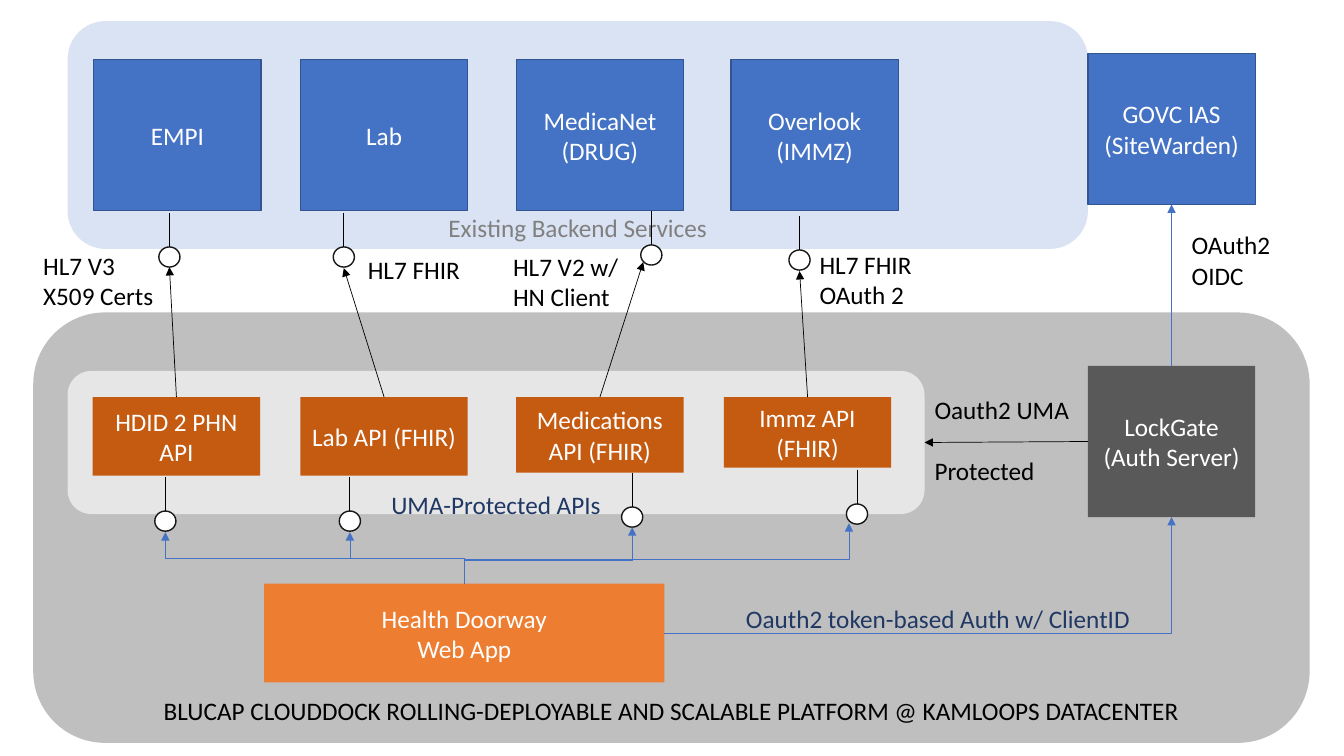
from lxml import etree
from pptx import Presentation
from pptx.dml.color import RGBColor
from pptx.enum.shapes import MSO_CONNECTOR, MSO_SHAPE
from pptx.enum.text import MSO_ANCHOR, PP_ALIGN
from pptx.oxml.ns import qn
from pptx.util import Inches, Pt

RECT, ROUND, OVAL = MSO_SHAPE.RECTANGLE, MSO_SHAPE.ROUNDED_RECTANGLE, MSO_SHAPE.OVAL
STRAIGHT, ELBOW = MSO_CONNECTOR.STRAIGHT, MSO_CONNECTOR.ELBOW
TOP, MIDDLE, BOTTOM = MSO_ANCHOR.TOP, MSO_ANCHOR.MIDDLE, MSO_ANCHOR.BOTTOM
LEFT, CENTER = PP_ALIGN.LEFT, PP_ALIGN.CENTER

C = dict(platform="BFBFBF", backend="DAE3F3", apis="E7E6E6", service="4472C4",
         service_line="325491", auth="595959", api="C55A11", app="ED7D31",
         port_line="181717", navy="203864", grey="808080", white="FFFFFF", black="000000")

# Content: zones are text, box, fill, text colour, bottom margin
ZONES = [
    ("BLUCAP CLOUDDOCK ROLLING-DEPLOYABLE AND SCALABLE PLATFORM @ KAMLOOPS DATACENTER",
     (0.33, 3.1, 12.66, 4.27), "platform", "black", -0.04),
    ("Existing Backend Services", (0.67, 0.21, 10.12, 2.26), "backend", "grey", -0.05),
    ("UMA-Protected APIs", (0.67, 3.68, 8.5, 1.42), "apis", "navy", -0.12),
]
BOX_W, BOX_H = 1.66, 1.5
SERVICE_TOP, API_TOP = 0.59, 3.94
SERVICES = [("EMPI", 0.93), ("Lab", 2.98), ("MedicaNet (DRUG)", 5.12), ("Overlook (IMMZ)", 7.25)]
APIS = [("HDID 2 PHN API", 0.92, 0.78), ("Lab API (FHIR)", 2.98, 0.78),
        ("Medications API (FHIR)", 5.12, 0.75), ("Immz API (FHIR)", 7.18, 0.7)]
AUTH_X, AUTH_TOP, IDP_TOP = 10.79, 3.63, 0.53
APP = (2.62, 5.79, 3.97, 0.98)

# Ports are centre x and stem top
STEM, PORT_W, PORT_H = 0.34, 0.21, 0.2
SERVICE_PORTS = [(1.68, 2.11), (3.41, 2.11), (6.46, 2.09), (7.93, 2.14)]
API_PORTS = [(1.64, 4.73), (3.47, 4.73), (6.27, 4.69), (8.5, 4.66)]
API_ARROW_ENDS = [(1.68, 2.65), (3.41, 2.66), (6.38, 2.6), (7.93, 2.69)]
# App arrows are end point and bend height
APP_ARROWS = [((8.42, 5.19), 5.55), ((6.27, 5.23), 5.56), ((3.47, 5.28), 5.54), ((1.64, 5.28), 5.54)]

# Labels are text, box, colour, gap between paragraphs in points
LABELS = [
    ("OAuth2\nOIDC", (11.72, 2.23, 1.05, 0.71), "black", 0),
    ("Oauth2 token-based Auth w/ ClientID", (7.3, 5.94, 4.05, 0.4), "navy", 0),
    ("Oauth2 UMA\nProtected", (9.17, 3.86, 1.55, 1.01), "black", 22),
    ("HL7 V3\nX509 Certs", (0.33, 2.43, 1.31, 0.71), "black", 0),
    ("HL7 V2 w/\nHN Client", (4.99, 2.44, 1.26, 0.71), "black", 0),
    ("HL7 FHIR", (3.55, 2.47, 1.13, 0.4), "black", 0),
    ("HL7 FHIR\nOAuth 2", (8.03, 2.42, 1.13, 0.71), "black", 0),
]

prs = Presentation()
prs.slide_width, prs.slide_height = Inches(13.33), Inches(7.5)
s = prs.slides.add_slide(prs.slide_layouts[6])


def rgb(name):
    return RGBColor.from_string(C[name])


def write(sp, text, color="white", align=CENTER, anchor=MIDDLE, gap=0, wrap=True, bottom=0.05):
    tf = sp.text_frame
    tf.word_wrap, tf.vertical_anchor, tf.margin_bottom = wrap, anchor, Inches(bottom)
    for i, line in enumerate(text.split("\n")):
        p = tf.add_paragraph() if i else tf.paragraphs[0]
        p.alignment = align
        if i and gap:
            p.space_before = Pt(gap)
        r = p.add_run()
        r.text = line
        r.font.name, r.font.size = "Calibri", Pt(18)
        r.font.color.rgb = rgb(color)


def shape(kind, box, fill, line=None):
    sp = s.shapes.add_shape(kind, *map(Inches, box))
    sp.shadow.inherit = False
    sp.fill.solid()
    sp.fill.fore_color.rgb = rgb(fill)
    if line:
        sp.line.color.rgb = rgb(line)
        sp.line.width = Pt(1)
    else:
        sp.line.fill.background()
    return sp


def connect(start, end, color="black", kind=STRAIGHT, arrow=True):
    c = s.shapes.add_connector(kind, *map(Inches, (*start, *end)))
    c.line.color.rgb = rgb(color)
    c.line.width = Pt(0.5)
    if arrow:
        etree.SubElement(c.line._get_or_add_ln(), qn("a:tailEnd"), type="triangle")
    etree.SubElement(c._element.spPr, qn("a:effectLst"))
    return c


def rising_elbow(start, end, bend):
    """Go up, across at height bend, then up: an elbow turned by 270 degrees."""
    (x1, y1), (x2, y2) = start, end
    cx, cy, half_w, half_h = (x1 + x2) / 2, (y1 + y2) / 2, (y1 - y2) / 2, (x2 - x1) / 2
    c = connect((cx - half_w, cy - half_h), (cx + half_w, cy + half_h), "service", ELBOW)
    c._element.spPr.find(qn("a:xfrm")).set("rot", str(270 * 60000))
    geom = c._element.spPr.find(qn("a:prstGeom"))
    adjust = geom.find(qn("a:avLst"))
    if adjust is None:
        adjust = etree.SubElement(geom, qn("a:avLst"))
    ratio = round((y1 - bend) / (y1 - y2) * 100000)
    etree.SubElement(adjust, qn("a:gd"), name="adj1", fmla=f"val {ratio}")


def port(x, top):
    circle = shape(OVAL, (x - PORT_W / 2, top + STEM, PORT_W, PORT_H), "white", "port_line")
    stem = connect((x, top), (x, top + STEM), arrow=False)
    s.shapes.add_group_shape([circle, stem])


# Zones
for text, box, fill, color, bottom in ZONES:
    write(shape(ROUND, box, fill), text, color, anchor=BOTTOM, bottom=bottom)

# Boxes
boxes = [(text, (x, SERVICE_TOP, BOX_W, BOX_H), "service", "service_line") for text, x in SERVICES]
boxes += [("LockGate\n(Auth Server)", (AUTH_X, AUTH_TOP, BOX_W, BOX_H), "auth", None),
          ("GOVC IAS\n(SiteWarden)", (AUTH_X, IDP_TOP, BOX_W, BOX_H), "service", "service_line")]
boxes += [(text, (x, API_TOP, BOX_W, h), "api", None) for text, x, h in APIS]
boxes += [("Health Doorway\nWeb App", APP, "app", None)]
for text, box, fill, line in boxes:
    write(shape(RECT, box, fill, line), text)

# Ports
for x, top in API_PORTS + SERVICE_PORTS:
    port(x, top)

# Arrows from each API to its backend service
for (_, x, _), end in zip(APIS, API_ARROW_ENDS):
    connect((x + BOX_W / 2, API_TOP), end)

# Arrows from the app to the API ports
app_x, app_y, app_w, app_h = APP
for end, bend in APP_ARROWS:
    rising_elbow((app_x + app_w / 2, app_y), end, bend)

# Arrows to and from the auth server
auth_mid = AUTH_X + BOX_W / 2
connect((AUTH_X, AUTH_TOP + BOX_H / 2), (9.17, 4.39))
connect((auth_mid, AUTH_TOP), (auth_mid, IDP_TOP + BOX_H), "service")
token = connect((app_x + app_w, app_y + app_h / 2), (auth_mid, AUTH_TOP + BOX_H), "service", ELBOW)
token._element.spPr.find(qn("a:prstGeom")).set("prst", "bentConnector2")

# Labels
for text, box, color, gap in LABELS:
    write(s.shapes.add_textbox(*map(Inches, box)), text, color, LEFT, TOP, gap, wrap=False)

prs.save("out.pptx")
